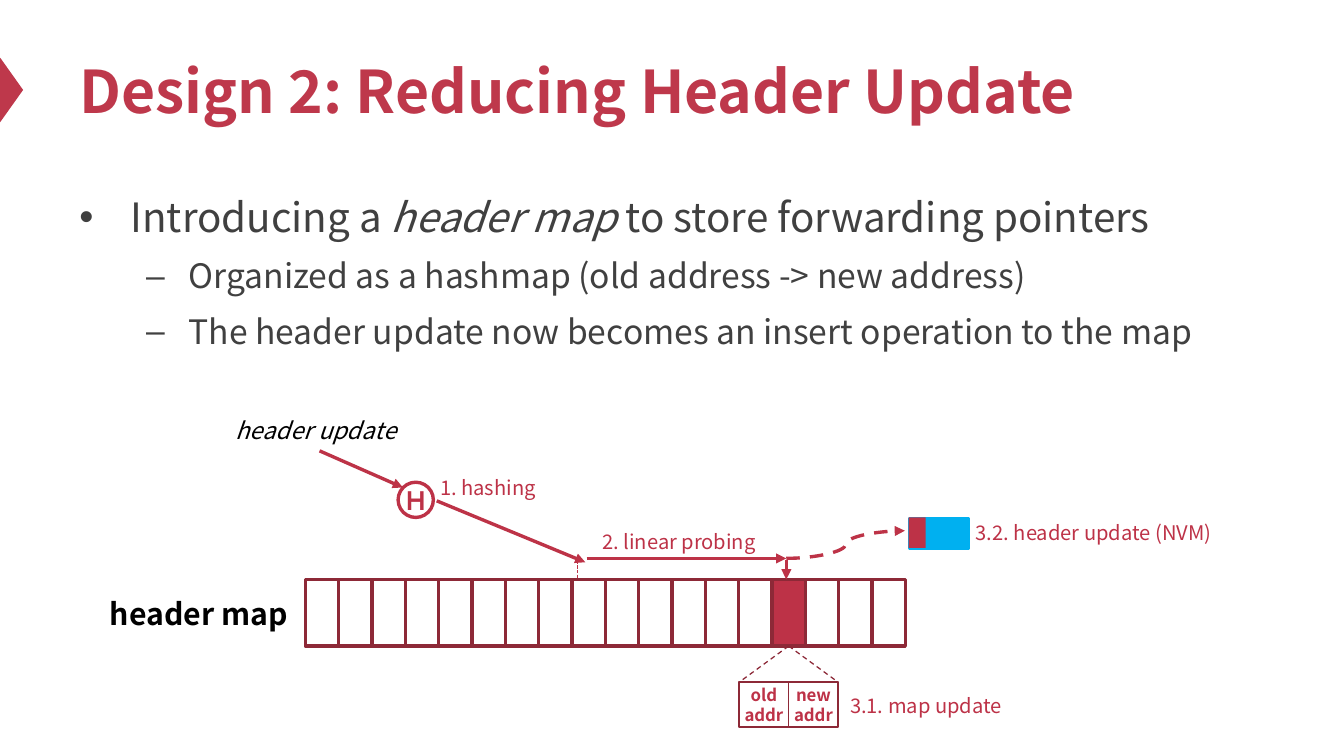
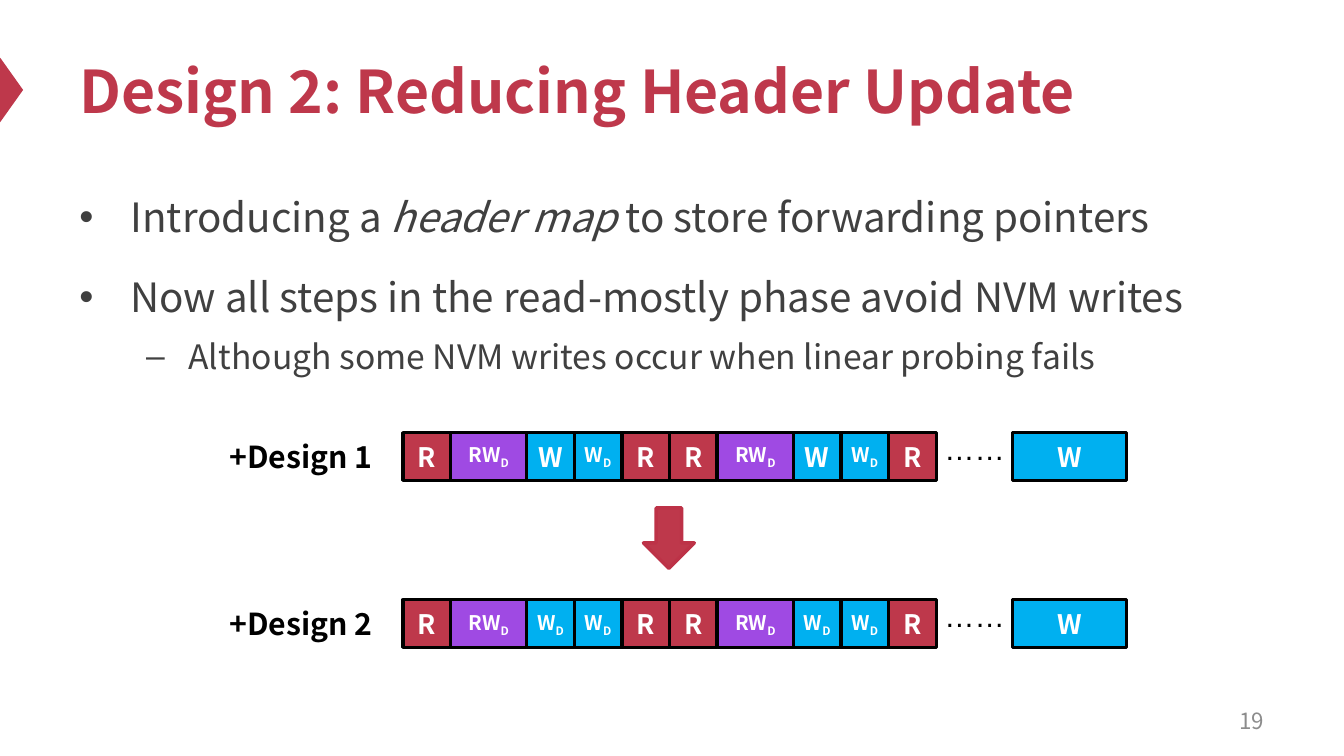
from pptx import Presentation
from pptx.dml.color import RGBColor
from pptx.enum.dml import MSO_LINE
from pptx.enum.shapes import MSO_CONNECTOR, MSO_SHAPE
from pptx.enum.text import MSO_ANCHOR, PP_ALIGN
from pptx.oxml.ns import qn
from pptx.util import Cm, Pt
from lxml import etree

RECT = MSO_SHAPE.RECTANGLE
OVAL = MSO_SHAPE.OVAL
WEDGE = MSO_SHAPE.ISOSCELES_TRIANGLE
DOWN = MSO_SHAPE.DOWN_ARROW
LINE = MSO_CONNECTOR.STRAIGHT
CURVE = MSO_CONNECTOR.CURVE
DASH = MSO_LINE.DASH
DOT = MSO_LINE.SQUARE_DOT
TOP = MSO_ANCHOR.TOP
MID = MSO_ANCHOR.MIDDLE
LEFT = PP_ALIGN.LEFT
CENTER = PP_ALIGN.CENTER
RIGHT = PP_ALIGN.RIGHT

FACE = "Noto Sans CJK SC"
BRAND = "BE384B"
RED = "BD3247"
ROSE = "BD3347"
WINE = "8D2937"
BLUE = "00B0F0"
PURPLE = "9F4AE3"
GRAY = "404040"
PALE = "8C8C8C"
BLACK = "000000"
WHITE = "FFFFFF"

TITLE = "Design 2: Reducing Header Update"
INTRO = (0, [("Introducing a ", False), ("header map ", True),
             ("to store forwarding pointers", False)])
LEVELS = [("•", 24, 1.07, -1.07, 13.3), ("–", 20, 2.29, -0.89, 4)]

READ = (1, BRAND, 16, ["R"])
MIX = (1.6, PURPLE, 12, ["RW", "D"])
WRITE = (1, BLUE, 16, ["W"])
DRAM = (1, BLUE, 12, ["W", "D"])


def tint(code):
    return RGBColor.from_string(code)


def say(par, text, size, tone, bold=False, slant=False, face=FACE, sub=False):
    run = par.add_run()
    run.text = text
    font = run.font
    font.size = Pt(size)
    font.name = face
    font.bold = bold
    font.italic = slant
    font.color.rgb = tint(tone)
    props = run._r.get_or_add_rPr()
    etree.SubElement(props, qn("a:ea")).set("typeface", face)
    if sub:
        props.set("baseline", "-25000")


def text_box(slide, x, y, w, h, anchor=TOP):
    frame = slide.shapes.add_textbox(Cm(x), Cm(y), Cm(w), Cm(h)).text_frame
    frame.word_wrap = True
    frame.vertical_anchor = anchor
    return frame


def label(slide, x, y, w, h, text, size, tone, align=LEFT, anchor=TOP, **look):
    par = text_box(slide, x, y, w, h, anchor).paragraphs[0]
    par.alignment = align
    say(par, text, size, tone, **look)


def block(slide, kind, x, y, w, h, fill=None, edge=None, width=2):
    shape = slide.shapes.add_shape(kind, Cm(x), Cm(y), Cm(w), Cm(h))
    shape.shadow.inherit = False
    if fill:
        shape.fill.solid()
        shape.fill.fore_color.rgb = tint(fill)
    else:
        shape.fill.background()
    if edge:
        shape.line.color.rgb = tint(edge)
        shape.line.width = Pt(width)
    else:
        shape.line.fill.background()
    return shape


def inside(shape, rows=1):
    frame = shape.text_frame
    frame.margin_left = frame.margin_right = 0
    frame.margin_top = frame.margin_bottom = 0
    frame.vertical_anchor = MID
    for _ in range(rows - 1):
        frame.add_paragraph()
    for par in frame.paragraphs:
        par.alignment = CENTER
    return frame.paragraphs


def link(slide, start, end, tone=ROSE, width=2, dash=None, arrow=True, kind=LINE):
    line = slide.shapes.add_connector(kind, *map(Cm, start + end))
    line.line.color.rgb = tint(tone)
    line.line.width = Pt(width)
    if dash:
        line.line.dash_style = dash
    props = line._element.spPr
    if arrow:
        tip = etree.SubElement(props.find(qn("a:ln")), qn("a:tailEnd"))
        tip.set("type", "triangle")
    etree.SubElement(props, qn("a:effectLst"))


def bullets(slide, items):
    frame = text_box(slide, 1.42, 3.71, 25.4, 10.46)
    for spot, (level, parts) in enumerate(items):
        par = frame.add_paragraph() if spot else frame.paragraphs[0]
        mark, size, left, hang, gap = LEVELS[level]
        par.level = level
        par.line_spacing = 1.2
        par.space_before = Pt(gap)
        props = par._p.get_or_add_pPr()
        props.set("marL", str(Cm(left)))
        props.set("indent", str(Cm(hang)))
        etree.SubElement(props, qn("a:buFont")).set("typeface", "Arial")
        etree.SubElement(props, qn("a:buChar")).set("char", mark)
        for text, slant in parts:
            say(par, text, size, GRAY, slant=slant)


def base(deck, items):
    slide = deck.slides.add_slide(deck.slide_layouts[6])
    block(slide, WEDGE, -0.43, 1.65, 1.35, 0.48, BRAND).rotation = 90
    label(slide, 1.42, 0.64, 25.4, 2.49, TITLE, 35, BRAND, anchor=MID, bold=True)
    bullets(slide, items)
    return slide


def map_row(slide):
    step, top, tall, used = 0.7, 12.17, 1.4, 14
    for spot in range(18):
        if spot != used:
            block(slide, RECT, 6.41 + spot * step, top, step, tall, edge=WINE)
    block(slide, RECT, 6.41 + used * step, top, step, tall, RED, WINE)
    label(slide, 2.06, 12.37, 4.4, 1.02, "header map", 18, BLACK, bold=True)


def probe(slide):
    label(slide, 4.7, 8.61, 4.2, 0.86, "header update", 14, BLACK, slant=True)
    link(slide, (6.71, 9.47), (8.46, 10.24))
    hash_dot = block(slide, OVAL, 8.36, 10.13, 0.74, 0.74, edge=RED)
    say(inside(hash_dot)[0], "H", 16, RED, bold=True, face="Cabin")
    link(slide, (9.17, 10.52), (12.29, 11.81))
    link(slide, (12.32, 11.73), (16.51, 11.73))
    link(slide, (12.12, 11.76), (12.12, 12.17), width=0.75, dash=DOT, arrow=False)
    link(slide, (16.51, 11.76), (16.51, 12.17), dash=DOT)
    link(slide, (16.51, 11.73), (19, 11.15), dash=DASH, kind=CURVE)
    for x, y, w, text in [(8.99, 9.86, 2.8, "1. hashing"),
                          (12.4, 11, 4.2, "2. linear probing"),
                          (17.6, 14.45, 3.81, "3.1. map update"),
                          (20.24, 10.8, 5.8, "3.2. header update (NVM)")]:
        label(slide, x, y, w, 0.76, text, 12, RED)


def update(slide):
    mid, wide = 16.56, 1.04
    for spot, word in enumerate(["old", "new"]):
        cell = block(slide, RECT, mid + (spot - 1) * wide, 14.33, wide, 0.94,
                     edge=WINE, width=1)
        for par, text in zip(inside(cell, 2), [word, "addr"]):
            say(par, text, 10, RED, bold=True)
    for side in (-1, 1):
        link(slide, (mid, 13.57), (mid + side * wide, 14.33), "8B2635", 0.75,
             DASH, False)
    block(slide, RECT, 19.1, 10.9, 1.24, 0.61, BLUE, BLUE)
    block(slide, RECT, 19.08, 10.87, 0.36, 0.64, RED)


def cell(slide, x, y, kind, wide=None):
    width, fill, size, words = kind
    box = block(slide, RECT, x, y, wide or width, 1, fill, BLACK)
    par = inside(box)[0]
    for spot, word in enumerate(words):
        say(par, word, size, WHITE, bold=True, sub=spot > 0)


def trace(slide, y, name, third):
    label(slide, 4.57, y, 3.81, 1.02, name, 18, BLACK, bold=True)
    x = 8.46
    for kind in [READ, MIX, third, DRAM, READ] * 2:
        cell(slide, x, y, kind)
        x += kind[0]
    label(slide, 19.58, y - 0.17, 2.11, 1.02, "……", 18, BLACK, face="Arial")
    cell(slide, 21.26, y, WRITE, 2.39)


def main():
    deck = Presentation()
    deck.slide_width, deck.slide_height = Cm(28.22), Cm(15.88)

    slide = base(deck, [
        INTRO,
        (1, [("Organized as a hashmap (old address -> new address)", False)]),
        (1, [("The header update now becomes an insert operation to the map",
              False)])])
    map_row(slide)
    probe(slide)
    update(slide)

    slide = base(deck, [
        INTRO,
        (0, [("Now all steps in the read-mostly phase avoid NVM writes", False)]),
        (1, [("Although some NVM writes occur when linear probing fails",
              False)])])
    trace(slide, 9.09, "+Design 1", WRITE)
    block(slide, DOWN, 13.51, 10.67, 1.07, 1.27, BRAND, RED)
    trace(slide, 12.6, "+Design 2", DRAM)
    label(slide, 20.22, 14.71, 6.58, 0.84, "19", 13.3, PALE, RIGHT, MID)

    deck.save("out.pptx")


if __name__ == "__main__":
    main()
